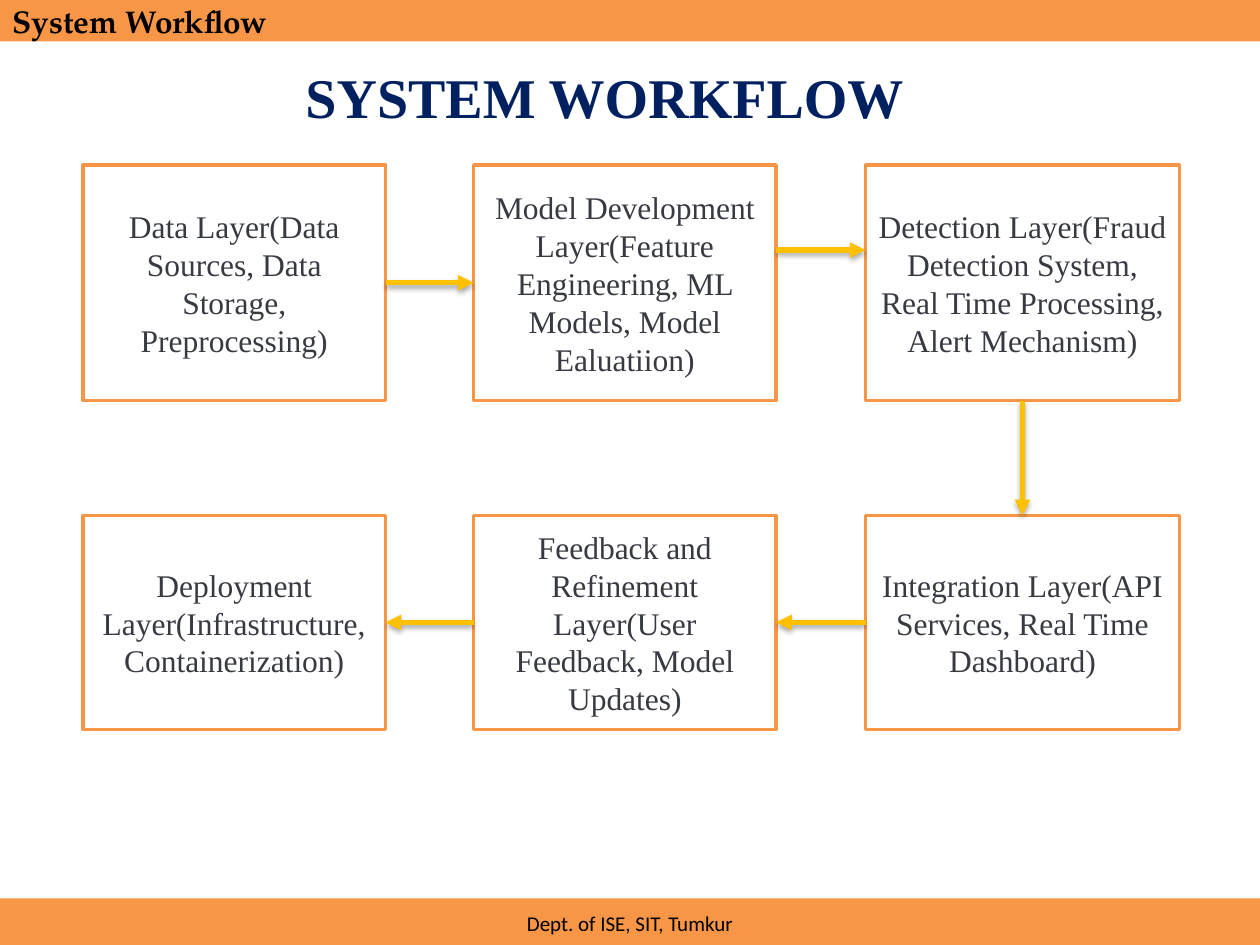
from lxml import etree
from pptx import Presentation
from pptx.dml.color import RGBColor
from pptx.enum.shapes import MSO_CONNECTOR, MSO_SHAPE
from pptx.enum.text import MSO_ANCHOR, PP_ALIGN
from pptx.oxml import parse_xml
from pptx.oxml.ns import nsdecls, qn
from pptx.util import Inches, Pt

ORANGE = RGBColor(0xF7, 0x96, 0x46)
GOLD = RGBColor(0xFF, 0xC0, 0x00)
NAVY = RGBColor(0x00, 0x20, 0x60)
GRAY = RGBColor(0x38, 0x3A, 0x42)
BLACK = RGBColor(0, 0, 0)
WHITE = RGBColor(0xFF, 0xFF, 0xFF)
SERIF = "Times New Roman"

TITLE = "SYSTEM WORKFLOW"
HEADER = "System Workflow"
FOOTER = "Dept. of ISE, SIT, Tumkur"
LAYERS = [
    ["Data Layer(Data Sources, Data Storage, Preprocessing)",
     "Model Development Layer(Feature Engineering, ML Models, Model Ealuatiion)",
     "Detection Layer(Fraud Detection System, Real Time Processing, Alert Mechanism)"],
    ["Deployment Layer(Infrastructure, Containerization)",
     "Feedback and Refinement Layer(User Feedback, Model Updates)",
     "Integration Layer(API Services, Real Time Dashboard)"],
]
COLUMNS = [(0.66, 2.4), (3.76, 2.4), (6.87, 2.49)]  # left, width
ROWS = [(1.31, 1.87), (4.09, 1.7)]  # top, height

# Arrow ends as (row, column), with a shift off the row's middle line
FLOW = [
    ((0, 0), (0, 1), 0),
    ((0, 1), (0, 2), -0.26),
    ((0, 2), (1, 2), 0),
    ((1, 2), (1, 1), 0),
    ((1, 1), (1, 0), 0),
]

SHADOW = (
    f'<a:effectLst {nsdecls("a")}>'
    '<a:outerShdw blurRad="40000" dist="23000" dir="5400000" rotWithShape="0">'
    '<a:srgbClr val="000000"><a:alpha val="35000"/></a:srgbClr>'
    '</a:outerShdw></a:effectLst>'
)


def write(frame, text, size, color, font, bold=False, align=PP_ALIGN.CENTER):
    frame.word_wrap = True
    frame.vertical_anchor = MSO_ANCHOR.MIDDLE
    paragraph = frame.paragraphs[0]
    paragraph.alignment = align
    run = paragraph.add_run()
    run.text = text
    run.font.size = Pt(size)
    run.font.name = font
    run.font.bold = bold
    run.font.color.rgb = color


def add_box(slide, left, top, width, height, fill, outline=None):
    box = slide.shapes.add_shape(MSO_SHAPE.RECTANGLE, Inches(left), Inches(top),
                                 Inches(width), Inches(height))
    box.shadow.inherit = False
    box.fill.solid()
    box.fill.fore_color.rgb = fill
    if outline is None:
        box.line.fill.background()
    else:
        box.line.color.rgb = outline
        box.line.width = Pt(2)
    return box.text_frame


def arrow_ends(source, target, shift):
    """Points where an arrow leaves one box and meets the next."""
    (row, col), (next_row, next_col) = source, target
    left, width = COLUMNS[col]
    top, height = ROWS[row]
    if row != next_row:
        x = left + width / 2
        return x, top + height, x, ROWS[next_row][0]
    y = top + height / 2 + shift
    next_left, next_width = COLUMNS[next_col]
    if next_col > col:
        return left + width, y, next_left, y
    return left, y, next_left + next_width, y


def add_arrow(slide, ends):
    arrow = slide.shapes.add_connector(MSO_CONNECTOR.STRAIGHT,
                                       *(Inches(value) for value in ends))
    arrow.line.color.rgb = GOLD
    arrow.line.width = Pt(3)
    etree.SubElement(arrow.line._get_or_add_ln(), qn("a:tailEnd"), type="triangle")
    arrow._element.spPr.append(parse_xml(SHADOW))


def main():
    deck = Presentation()
    deck.slide_width, deck.slide_height = Inches(10), Inches(7.5)
    slide = deck.slides.add_slide(deck.slide_layouts[5])

    title = slide.shapes.title
    title.left, title.top = Inches(0.01), Inches(0.29)
    title.width, title.height = Inches(9.58), Inches(0.95)
    write(title.text_frame, TITLE, 32, NAVY, SERIF, bold=True)

    write(add_box(slide, 0, 0, 10, 0.33, ORANGE), HEADER, 18, BLACK,
          "TeX Gyre Pagella", bold=True, align=PP_ALIGN.LEFT)
    write(add_box(slide, 0, 7.13, 10, 0.4, ORANGE), FOOTER, 12, BLACK, "Calibri")

    for (top, height), layers in zip(ROWS, LAYERS):
        for (left, width), layer in zip(COLUMNS, layers):
            frame = add_box(slide, left, top, width, height, WHITE, ORANGE)
            write(frame, layer, 18, GRAY, SERIF)

    for source, target, shift in FLOW:
        add_arrow(slide, arrow_ends(source, target, shift))

    deck.save("out.pptx")


if __name__ == "__main__":
    main()
